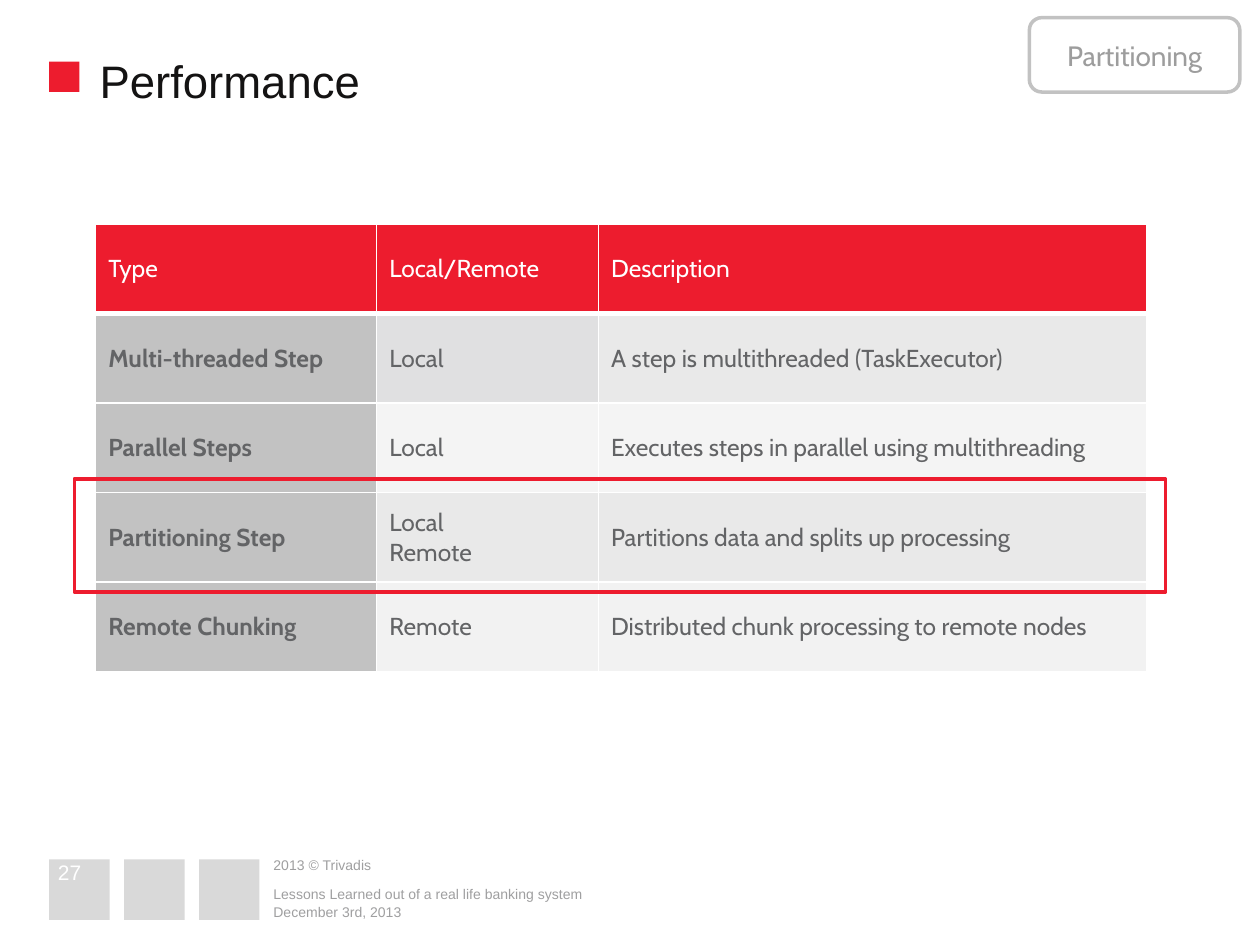
from lxml import etree
from pptx import Presentation
from pptx.dml.color import RGBColor
from pptx.enum.shapes import MSO_SHAPE
from pptx.enum.text import MSO_ANCHOR, PP_ALIGN
from pptx.oxml.ns import qn
from pptx.util import Inches, Pt

RECTANGLE, ROUNDED = MSO_SHAPE.RECTANGLE, MSO_SHAPE.ROUNDED_RECTANGLE
TOP, MIDDLE, BOTTOM = MSO_ANCHOR.TOP, MSO_ANCHOR.MIDDLE, MSO_ANCHOR.BOTTOM
LEFT, CENTER = PP_ALIGN.LEFT, PP_ALIGN.CENTER

RED = RGBColor(0xED, 0x1C, 0x2E)
WHITE = RGBColor(0xFF, 0xFF, 0xFF)
BLACK = RGBColor(0x14, 0x13, 0x13)
TEXT_GRAY = RGBColor(0x63, 0x64, 0x66)
TAG_GRAY = RGBColor(0x9D, 0x9D, 0x9D)
FOOTER_GRAY = RGBColor(0x9F, 0x9F, 0xA0)
SQUARE_GRAY = RGBColor(0xD9, 0xD9, 0xD9)
MID_GRAY = RGBColor(0xC2, 0xC2, 0xC2)
LOCAL_GRAY = RGBColor(0xE0, 0xE0, 0xE1)
BAND_DARK = RGBColor(0xE9, 0xE9, 0xE9)
BAND_LIGHT = RGBColor(0xF4, 0xF4, 0xF4)
BAND_LAST = RGBColor(0xF2, 0xF2, 0xF2)

TITLE = "Performance"
TAG = "Partitioning"
PAGE_NUMBER = "27"
FOOTERS = [
    ("2013 © Trivadis", 6.79, 1.35, 0.15, MIDDLE),
    ("Lessons Learned out of a real life banking system", 6.98, 5.36, 0.18, BOTTOM),
    ("December 3rd, 2013", 7.12, 5.36, 0.18, BOTTOM),
]
STEP_TYPES = [
    ("Type", "Local/Remote", "Description"),
    ("Multi-threaded Step", "Local", "A step is multithreaded (TaskExecutor)"),
    ("Parallel Steps", "Local", "Executes steps in parallel using multithreading"),
    ("Partitioning Step", "Local\nRemote", "Partitions data and splits up processing"),
    ("Remote Chunking", "Remote", "Distributed chunk processing to remote nodes"),
]
ROW_FILLS = [
    (RED, RED, RED),
    (MID_GRAY, LOCAL_GRAY, BAND_DARK),
    (MID_GRAY, BAND_LIGHT, BAND_LIGHT),
    (MID_GRAY, BAND_DARK, BAND_DARK),
    (MID_GRAY, BAND_LAST, BAND_LAST),
]
COLUMN_WIDTHS = [2.23, 1.76, 4.35]
ROW_HEIGHT = 0.71


def write(frame, text, *, size, color, font="Arial", bold=False, align=LEFT):
    frame.text = text
    for paragraph in frame.paragraphs:
        paragraph.alignment = align
        for run in paragraph.runs:
            run.font.name = font
            run.font.size = Pt(size)
            run.font.bold = bold
            run.font.color.rgb = color


def set_frame(frame, anchor, top_inset=0):
    frame.margin_left = frame.margin_right = frame.margin_bottom = 0
    frame.margin_top = Inches(top_inset)
    frame.vertical_anchor = anchor
    frame.word_wrap = True


def add_label(slide, text, left, top, width, height, anchor, **style):
    label = slide.shapes.add_textbox(*map(Inches, (left, top, width, height)))
    set_frame(label.text_frame, anchor)
    write(label.text_frame, text, **style)


def add_box(slide, left, top, width, height, fill=None, line=None, preset=RECTANGLE):
    box = slide.shapes.add_shape(preset, *map(Inches, (left, top, width, height)))
    box.shadow.inherit = False
    if fill is None:
        box.fill.background()
    else:
        box.fill.solid()
        box.fill.fore_color.rgb = fill
    if line is None:
        box.line.fill.background()
    else:
        box.line.color.rgb = line
        box.line.width = Pt(2)
    return box


def set_borders(cell, widths):
    properties = cell._tc.get_or_add_tcPr()
    for index, (side, width) in enumerate(widths.items()):
        border = etree.Element(qn(f"a:{side}"), w=str(Pt(width)))
        fill = etree.SubElement(border, qn("a:solidFill"))
        etree.SubElement(fill, qn("a:srgbClr"), val=str(WHITE))
        properties.insert(index, border)


def add_step_table(slide):
    table = slide.shapes.add_table(
        len(STEP_TYPES), len(COLUMN_WIDTHS), Inches(0.76), Inches(1.78),
        Inches(sum(COLUMN_WIDTHS)), Inches(ROW_HEIGHT * len(STEP_TYPES))).table
    table.first_col = True
    for column, width in zip(table.columns, COLUMN_WIDTHS):
        column.width = Inches(width)
    for r, (texts, fills) in enumerate(zip(STEP_TYPES, ROW_FILLS)):
        table.rows[r].height = Inches(ROW_HEIGHT)
        for c, (text, fill) in enumerate(zip(texts, fills)):
            cell = table.cell(r, c)
            cell.vertical_anchor = MIDDLE
            cell.fill.solid()
            cell.fill.fore_color.rgb = fill
            write(cell.text_frame, text, size=14, font="Cabin",
                  color=WHITE if r == 0 else TEXT_GRAY, bold=r > 0 and c == 0)
            set_borders(cell, {"lnL": 1, "lnR": 1, "lnT": 3 if r == 1 else 1,
                               "lnB": 3 if r == 0 else 1})


def main():
    deck = Presentation()
    deck.slide_width, deck.slide_height = Inches(10), Inches(7.5)
    slide = deck.slides.add_slide(deck.slide_layouts[5])

    for index in range(3):
        add_box(slide, 0.39 + index * 0.595, 6.82, 0.48, 0.48, fill=SQUARE_GRAY)
    add_box(slide, 0.39, 0.49, 0.24, 0.24, fill=RED)

    title = slide.shapes.title
    title.left, title.top, title.width, title.height = map(Inches, (0.79, 0.37, 8.95, 0.4))
    set_frame(title.text_frame, TOP, top_inset=0.05)
    write(title.text_frame, TITLE, size=26, color=BLACK)

    for text, top, width, height, anchor in FOOTERS:
        add_label(slide, text, 2.17, top, width, height, anchor, size=8, color=FOOTER_GRAY)
    add_label(slide, PAGE_NUMBER, 0.46, 6.84, 0.48, 0.17, MIDDLE, size=12, color=WHITE)

    add_step_table(slide)
    add_box(slide, 0.59, 3.8, 8.66, 0.9, line=RED)

    tag = add_box(slide, 8.17, 0.14, 1.67, 0.59, fill=WHITE, line=MID_GRAY, preset=ROUNDED)
    set_frame(tag.text_frame, MIDDLE)
    write(tag.text_frame, TAG, size=16, color=TAG_GRAY, font="Cabin", align=CENTER)

    deck.save("out.pptx")


if __name__ == "__main__":
    main()
